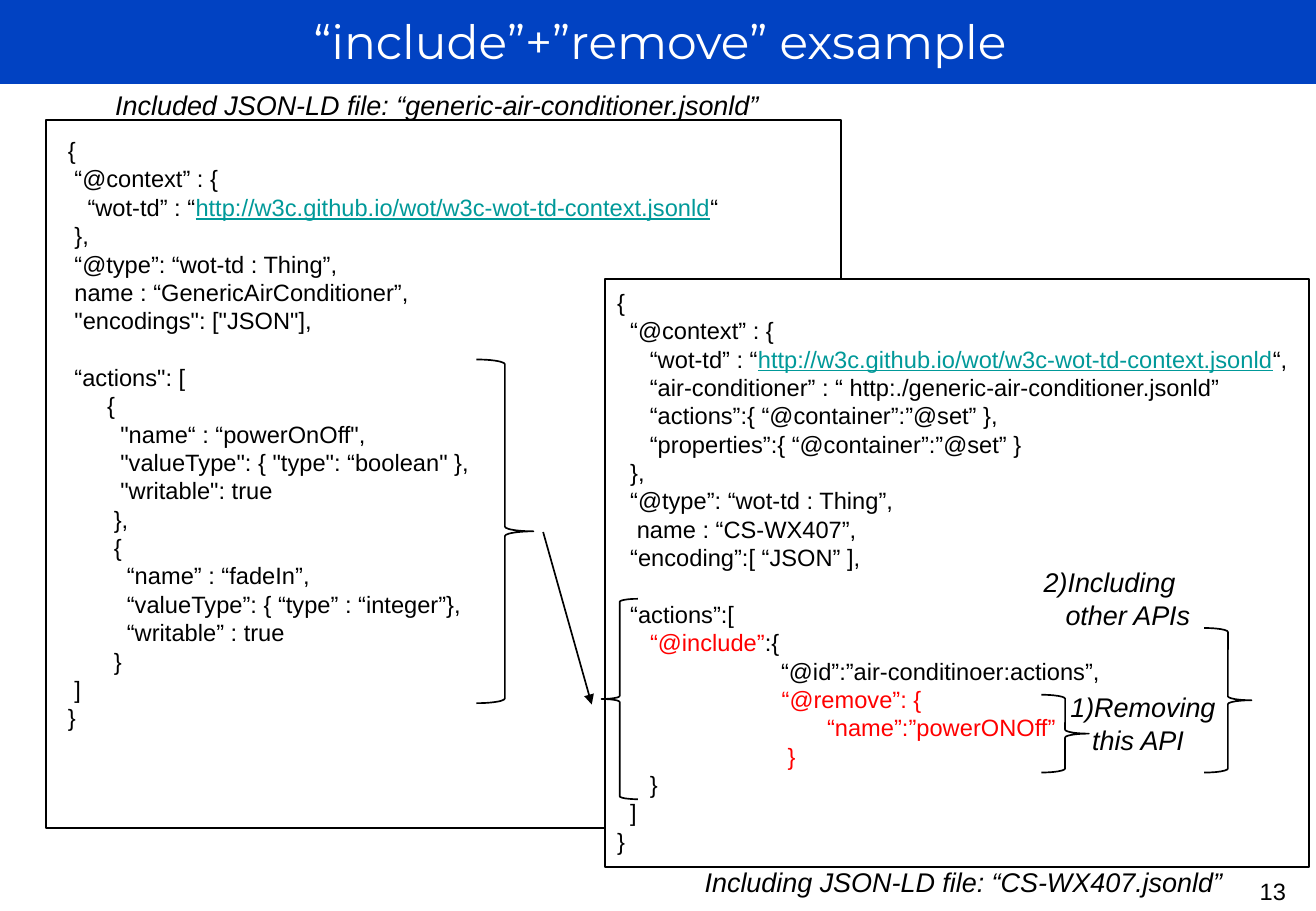
from lxml import etree
from pptx import Presentation
from pptx.dml.color import RGBColor
from pptx.enum import shapes, text
from pptx.oxml import ns
from pptx.util import Inches, Pt

BLACK, WHITE, BLUE, TEAL, RED = "000000", "FFFFFF", "0142C2", "009999", "FF0000"
LINE_HEIGHT = 1.2
CONTEXT_URL = ("http://w3c.github.io/wot/w3c-wot-td-context.jsonld", TEAL)

TITLE = "“include”+”remove” exsample"
PAGE_NUMBER = "13"

# A code line is a list of runs: plain text, or text with its colour.
INCLUDED_CODE = [
    ["{"],
    [" “@context” : {"],
    ["   “wot-td” : “", CONTEXT_URL, "“"],
    [" },"],
    [" “@type”: “wot-td : Thing”,"],
    [" name : “GenericAirConditioner”,"],
    [' "encodings": ["JSON"],'],
    [],
    [' “actions": ['],
    ["      {"],
    ['        "name“ : “powerOnOff",'],
    ['        "valueType": { "type": “boolean" },'],
    ['        "writable": true'],
    ["       },"],
    ["       {"],
    ["         “name” : “fadeIn”,"],
    ["         “valueType”: { “type” : “integer”},"],
    ["         “writable” : true"],
    ["       }"],
    [" ]"],
    ["}"],
]
INCLUDING_CODE = [
    ["{"],
    ["  “@context” : {"],
    ["     “wot-td” : “", CONTEXT_URL, "“,"],
    ["     “air-conditioner” : “ http:./generic-air-conditioner.jsonld”"],
    ["     “actions”:{ “@container”:”@set” },"],
    ["     “properties”:{ “@container”:”@set” }"],
    ["  },"],
    ["  “@type”: “wot-td : Thing”,"],
    ["   name : “CS-WX407”,"],
    ["  “encoding”:[ “JSON” ],"],
    [],
    ["  “actions”:["],
    ["     ", ("“@include”", RED), ":{"],
    ["                         “@id”:”air-conditinoer:actions”,"],
    ["                         ", ("“@remove”: {", RED)],
    [("                                “name”:”powerONOff”", RED)],
    [("                          }", RED)],
    ["     }"],
    ["  ]"],
    ["}"],
]

# Frame, code position and code
FILES = [
    ((0.38, 0.99, 6.54, 5.83), (0.46, 1.07, 5.59, 5.05), INCLUDED_CODE),
    ((4.98, 2.3, 5.79, 4.84), (4.98, 2.32, 5.79, 4.81), INCLUDING_CODE),
]
LABELS = [
    ((0.85, 0.68, 5.56, 0.37), ["Included JSON-LD file: “generic-air-conditioner.jsonld”"]),
    ((5.7, 7.08, 4.52, 0.37), ["Including JSON-LD file: “CS-WX407.jsonld”"]),
    ((8.71, 5.64, 1.41, 0.64), ["1)Removing", "this API"]),
    ((8.49, 4.61, 1.49, 0.64), ["2)Including", "other APIs"]),
]
RIGHT, LEFT = shapes.MSO_SHAPE.RIGHT_BRACE, shapes.MSO_SHAPE.LEFT_BRACE
INCLUDED_BRACE = (RIGHT, (3.92, 2.96, 0.47, 2.83))
INCLUDING_BRACES = [
    (LEFT, (4.95, 4.93, 0.3, 1.65)),
    (RIGHT, (8.57, 5.72, 0.39, 0.64)),
    (RIGHT, (9.91, 5.17, 0.39, 1.19)),
]
INCLUDE_ARROW = (4.47, 4.38, 4.87, 5.8)


def rgb(value):
    return RGBColor.from_string(value)


def add_shape(s, kind, at, fill=None, line=None):
    sp = s.shapes.add_shape(kind, *map(Inches, at))
    sp.shadow.inherit = False
    if fill:
        sp.fill.solid()
        sp.fill.fore_color.rgb = rgb(fill)
    else:
        sp.fill.background()
    if line:
        sp.line.color.rgb = rgb(line)
        sp.line.width = Pt(1)
    else:
        sp.line.fill.background()


def add_text_frame(s, at):
    tf = s.shapes.add_textbox(*map(Inches, at)).text_frame
    tf.word_wrap = True
    return tf


def add_run(p, words, size, color=BLACK, font="Arial", italic=False):
    r = p.add_run()
    r.text = words
    r.font.name, r.font.size, r.font.italic = font, Pt(size), italic
    r.font.color.rgb = rgb(color)
    r.font.underline = color == TEAL


def next_paragraph(tf, size):
    first = tf.paragraphs[0]
    p = tf.add_paragraph() if first.runs else first
    p.line_spacing = Pt(size * LINE_HEIGHT)
    return p


def add_code(s, at, lines, size=14):
    """Writes the lines; an empty one becomes space before the next."""
    tf = add_text_frame(s, at)
    gap = 0
    for line in lines:
        if not line:
            gap += size * LINE_HEIGHT
            continue
        p = next_paragraph(tf, size)
        if gap:
            p.space_before = Pt(gap)
            gap = 0
        for part in line:
            words, color = (part, BLACK) if isinstance(part, str) else part
            add_run(p, words, size, color)


def add_label(s, at, lines, size=16):
    """Writes an italic label whose second line is indented."""
    tf = add_text_frame(s, at)
    for i, line in enumerate(lines):
        p = next_paragraph(tf, size)
        if i:
            p._p.get_or_add_pPr().set("marL", str(Inches(0.18)))
        add_run(p, line, size, italic=True)


def add_arrow(s, ends):
    c = s.shapes.add_connector(shapes.MSO_CONNECTOR.STRAIGHT, *map(Inches, ends))
    c.line.color.rgb = rgb(BLACK)
    c.line.width = Pt(1)
    etree.SubElement(c.line._get_or_add_ln(), ns.qn("a:tailEnd"), type="triangle")
    etree.SubElement(c._element.spPr, ns.qn("a:effectLst"))


def add_centred(s, at, words, size, color, font):
    tf = add_text_frame(s, at)
    p = tf.paragraphs[0]
    p.alignment = text.PP_ALIGN.CENTER
    add_run(p, words, size, color, font)


def main():
    prs = Presentation()
    prs.slide_width, prs.slide_height = Inches(10.83), Inches(7.5)
    s = prs.slides.add_slide(prs.slide_layouts[6])
    box = shapes.MSO_SHAPE.RECTANGLE

    add_shape(s, box, (0, -0.03, 10.83, 0.72), fill=BLUE)
    add_centred(s, (0.02, 0.05, 10.82, 0.57), TITLE, 28, WHITE, "Montserrat")
    add_centred(s, (10.02, 7.17, 0.91, 0.52), PAGE_NUMBER, 14, BLACK, "Arial")

    for (frame, at, code), braces in zip(FILES, ([INCLUDED_BRACE], INCLUDING_BRACES)):
        add_shape(s, box, frame, fill=WHITE, line=BLACK)
        add_code(s, at, code)
        for kind, place in braces:
            add_shape(s, kind, place, line=BLACK)
    add_arrow(s, INCLUDE_ARROW)
    for at, lines in LABELS:
        add_label(s, at, lines)

    prs.save("out.pptx")


if __name__ == "__main__":
    main()
